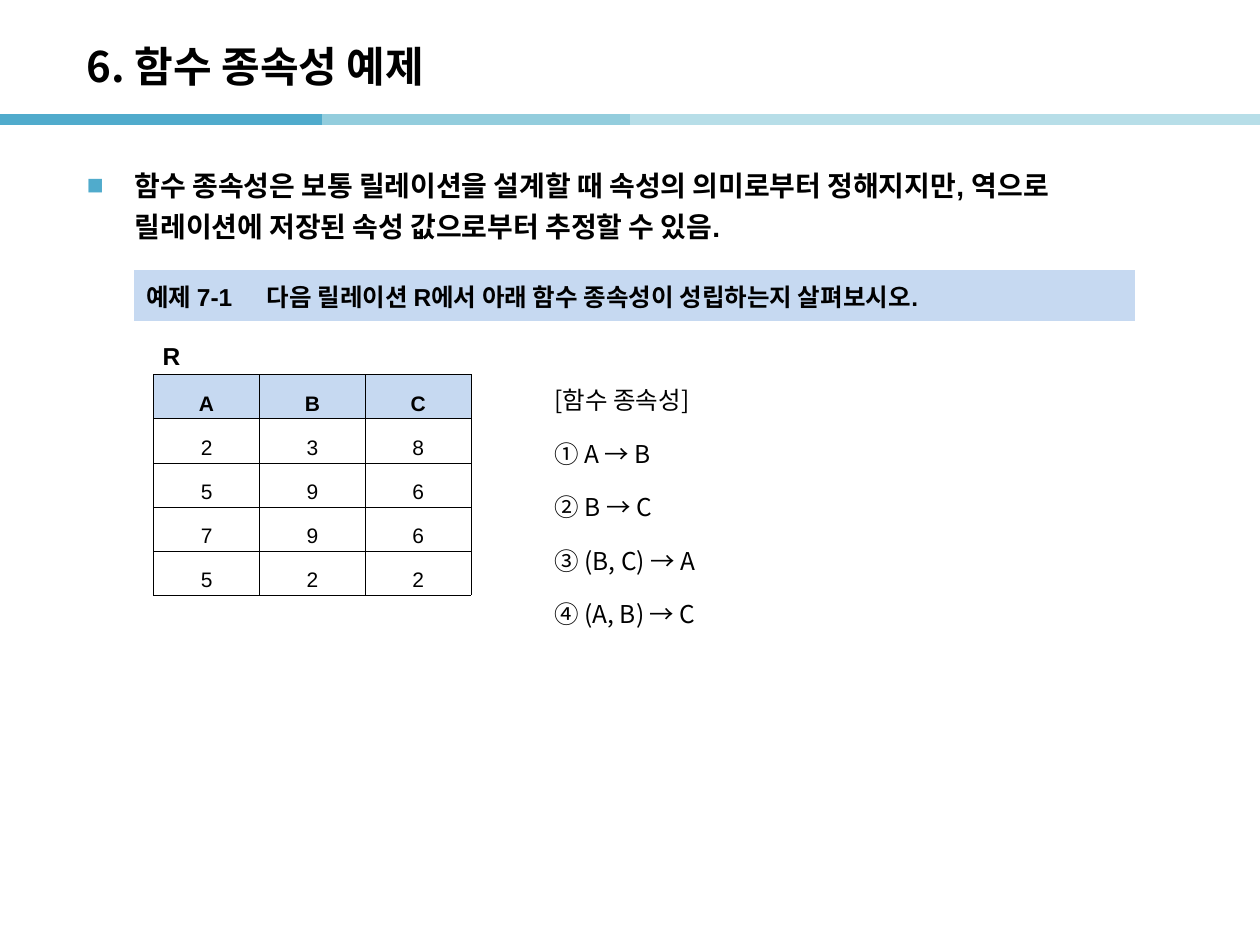
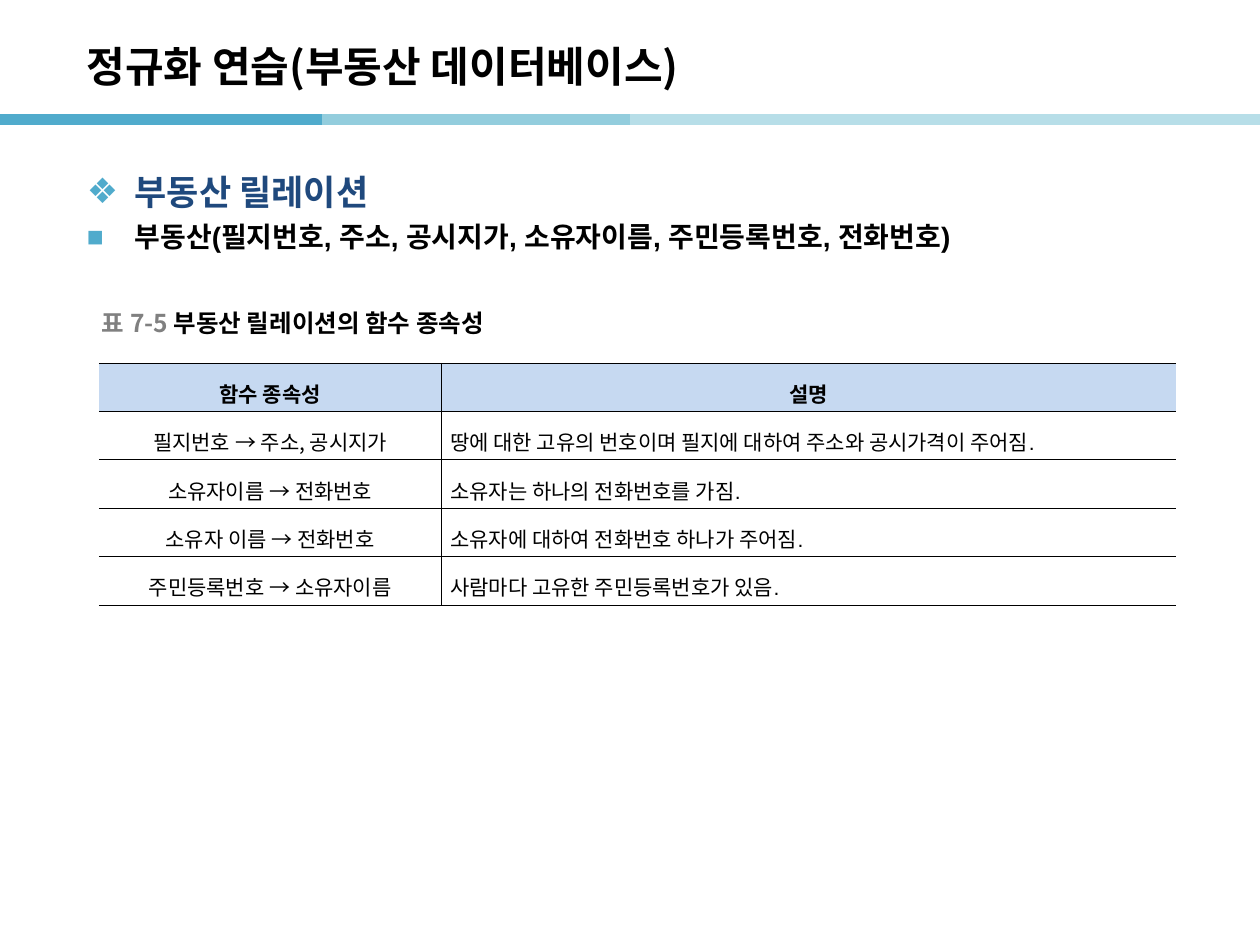
from lxml import etree
from pptx import Presentation
from pptx.dml.color import RGBColor
from pptx.enum.text import MSO_ANCHOR, PP_ALIGN
from pptx.oxml import parse_xml
from pptx.oxml.ns import nsdecls, qn
from pptx.util import Pt

KOREAN = "Noto Sans CJK KR"
LATIN = "Arial"
BLACK, GRAY, NAVY = "000000", "808080", "1F497D"
TEAL, HEADER_BLUE, WHITE = "50ABCC", "C6D9F1", "FFFFFF"
BANDS = [(0, TEAL), (184.3, "93CDDD"), (360, "B7DEE8"), (537.1, "B7DEE8")]
BAND_LENGTH, BAND_Y, SLIDE_WIDTH = 184.3, 68.4, 720
BULLET_INDENT = Pt(27.4)
PLAIN_STYLE = "{2D5ABB26-0587-4C30-8999-92F81FD0307C}"


def write(paragraph, text, color=BLACK, spacing=None, align=None, **font_format):
    """Add a run; Hangul always uses the Korean font."""
    run = paragraph.add_run()
    run.text = text
    for attribute, value in ({"name": LATIN, "bold": True} | font_format).items():
        setattr(run.font, attribute, value)
    run.font.color.rgb = RGBColor.from_string(color)
    etree.SubElement(run.font._element, qn("a:ea"), typeface=KOREAN)
    if spacing:
        paragraph.line_spacing = spacing
    if align:
        paragraph.alignment = align


def add_grid(slide, left, top, widths, heights):
    """Add an unstyled table with narrow cell margins."""
    frame = slide.shapes.add_table(len(heights), len(widths), Pt(left), Pt(top),
                                   Pt(sum(widths)), Pt(sum(heights)))
    grid = frame.table
    grid.first_row = grid.horz_banding = False
    grid._tbl.tblPr.find(qn("a:tableStyleId")).text = PLAIN_STYLE
    for column, width in zip(grid.columns, widths):
        column.width = Pt(width)
    for row, height in zip(grid.rows, heights):
        row.height = Pt(height)
    for cell in grid.iter_cells():
        cell.vertical_anchor = MSO_ANCHOR.MIDDLE
        cell.margin_left = cell.margin_right = Pt(5.1)
        cell.margin_top = cell.margin_bottom = Pt(1.1)
        cell.fill.background()
    return grid


prs = Presentation()
prs.slide_width, prs.slide_height = Pt(SLIDE_WIDTH), Pt(540)

# Title, colour band and bulleted text of each slide
pages = [
    ("6. 함수 종속성 예제",
     [("■", "함수 종속성은 보통 릴레이션을 설계할 때 속성의 의미로부터 정해지지만, "
            "역으로 릴레이션에 저장된 속성 값으로부터 추정할 수 있음.", 16, BLACK)]),
    ("정규화 연습(부동산 데이터베이스)",
     [("❖", "부동산 릴레이션", 20, NAVY),
      ("■", "부동산(필지번호, 주소, 공시지가, 소유자이름, 주민등록번호, 전화번호)", 16, BLACK)]),
]
for title, points in pages:
    slide = prs.slides.add_slide(prs.slide_layouts[6])
    for start, color in BANDS:
        end = min(start + BAND_LENGTH, SLIDE_WIDTH)
        band = slide.shapes.add_connector(1, Pt(start), Pt(BAND_Y), Pt(end), Pt(BAND_Y))
        band.line.width = Pt(6)
        band.line.color.rgb = RGBColor.from_string(color)
        etree.SubElement(band._element.spPr, qn("a:effectLst"))

    heading = slide.shapes.add_textbox(Pt(42.5), Pt(15.8), Pt(595.4), Pt(43.2)).text_frame
    heading.word_wrap = True
    heading.vertical_anchor = MSO_ANCHOR.MIDDLE
    write(heading.paragraphs[0], title, size=Pt(24), name=KOREAN)

    body = slide.shapes.add_textbox(Pt(42.5), Pt(85.7), Pt(635), Pt(430.6)).text_frame
    body.word_wrap = True
    body.margin_top = Pt(6)
    for number, (bullet, text, size, color) in enumerate(points):
        point = body.add_paragraph() if number else body.paragraphs[0]
        properties = point._p.get_or_add_pPr()
        properties.set("marL", str(BULLET_INDENT))
        properties.set("indent", str(-BULLET_INDENT))
        bullet_color = etree.SubElement(properties, qn("a:buClr"))
        etree.SubElement(bullet_color, qn("a:srgbClr"), val=TEAL)
        etree.SubElement(properties, qn("a:buFont"), typeface=LATIN)
        etree.SubElement(properties, qn("a:buChar"), char=bullet)
        write(point, text, color, spacing=1.23, size=Pt(size))

example_slide, practice_slide = prs.slides

# Slide 1: example question with the dependencies to check
example = add_grid(example_slide, 76.3, 154.1, [572.4], [29.5, 150])
question, dependencies = example.iter_cells()
for cell, color in [(question, HEADER_BLUE), (dependencies, WHITE)]:
    cell.fill.solid()
    cell.fill.fore_color.rgb = RGBColor.from_string(color)
    cell.margin_left = cell.margin_right = Pt(7.2)
question_line = question.text_frame.paragraphs[0]
tabs = etree.SubElement(question_line._p.get_or_add_pPr(), qn("a:tabLst"))
etree.SubElement(tabs, qn("a:tab"), pos=str(Pt(69)), algn="l")
write(question_line, "예제 7-1\t다음 릴레이션 R에서 아래 함수 종속성이 성립하는지 살펴보시오.",
      size=Pt(14))

dependencies.vertical_anchor = MSO_ANCHOR.TOP
dependencies.margin_top = Pt(24)
dependency_lines = ["[함수 종속성]", "① A → B", "② B → C", "③ (B, C) → A", "④ (A, B) → C"]
for number, text in enumerate(dependency_lines):
    frame = dependencies.text_frame
    line = frame.add_paragraph() if number else frame.paragraphs[0]
    line._p.get_or_add_pPr().set("indent", str(Pt(233.3)))
    write(line, text, spacing=1.5, size=Pt(14), name=KOREAN, bold=False)

# Slide 1: relation R
relation_rows = ["ABC", "238", "596", "796", "522"]
relation = add_grid(example_slide, 87.8, 185, [60.5] * 3, [27.9] + [24.3] * 5)
relation.cell(0, 0).merge(relation.cell(0, 2))
write(relation.cell(0, 0).text_frame.paragraphs[0], "R", spacing=1.6, size=Pt(14))
for row, values in enumerate(relation_rows, 1):
    for column, value in enumerate(values):
        cell = relation.cell(row, column)
        write(cell.text_frame.paragraphs[0], value, spacing=1.6,
              align=PP_ALIGN.CENTER, size=Pt(12), bold=row == 1)

# Slide 2: functional dependencies of the property relation
property_rows = [
    (["함수 종속성"], "설명"),
    (["필지번호 ", "→ 주소, 공시지가"], "땅에 대한 고유의 번호이며 필지에 대하여 주소와 공시가격이 주어짐."),
    (["소유자이름 ", "→ 전화번호"], "소유자는 하나의 전화번호를 가짐."),
    (["소유자 이름 ", "→ 전화번호"], "소유자에 대하여 전화번호 하나가 주어짐."),
    (["주민등록번호 ", "→ 소유자이름"], "사람마다 고유한 주민등록번호가 있음."),
]
properties_table = add_grid(practice_slide, 56.5, 207.4, [195.8, 419.8], [27.65] * 5)
for row, (dependency, description) in enumerate(property_rows):
    is_header = row == 0
    rule_line = properties_table.cell(row, 0).text_frame.paragraphs[0]
    for text, font in zip(dependency, [LATIN, KOREAN]):
        write(rule_line, text, spacing=1.4, align=PP_ALIGN.CENTER, size=Pt(12),
              name=font, bold=is_header)
    write(properties_table.cell(row, 1).text_frame.paragraphs[0], description, spacing=1.4,
          align=PP_ALIGN.CENTER if is_header else PP_ALIGN.LEFT, size=Pt(12), bold=is_header)

caption = practice_slide.shapes.add_textbox(Pt(51.1), Pt(173.5), Pt(250), Pt(22.3)).text_frame
caption.word_wrap = True
caption.vertical_anchor = MSO_ANCHOR.MIDDLE
for text, color in [("표 7-5 ", GRAY), ("부동산 릴레이션의 함수 종속성", BLACK)]:
    write(caption.paragraphs[0], text, color, size=Pt(14), name=KOREAN)

# Header fills and thin rules: R is fully ruled, the property table is open at its sides
for grid, header_row, column_sides in [(relation, 1, ["LRTB"] * 3),
                                       (properties_table, 0, ["RTB", "LTB"])]:
    for row in range(len(grid.rows)):
        for column, sides in enumerate(column_sides):
            cell = grid.cell(row, column)
            if row == header_row:
                cell.fill.solid()
                cell.fill.fore_color.rgb = RGBColor.from_string(HEADER_BLUE)
            ruled = sides if row >= header_row else "B"
            for position, side in enumerate("LRTB"):
                paint = (f'<a:solidFill><a:srgbClr val="{BLACK}"/></a:solidFill>'
                         if side in ruled else "<a:noFill/>")
                border = parse_xml(f'<a:ln{side} {nsdecls("a")} w="{Pt(0.28)}">{paint}</a:ln{side}>')
                cell._tc.get_or_add_tcPr().insert(position, border)

prs.save("out.pptx")
